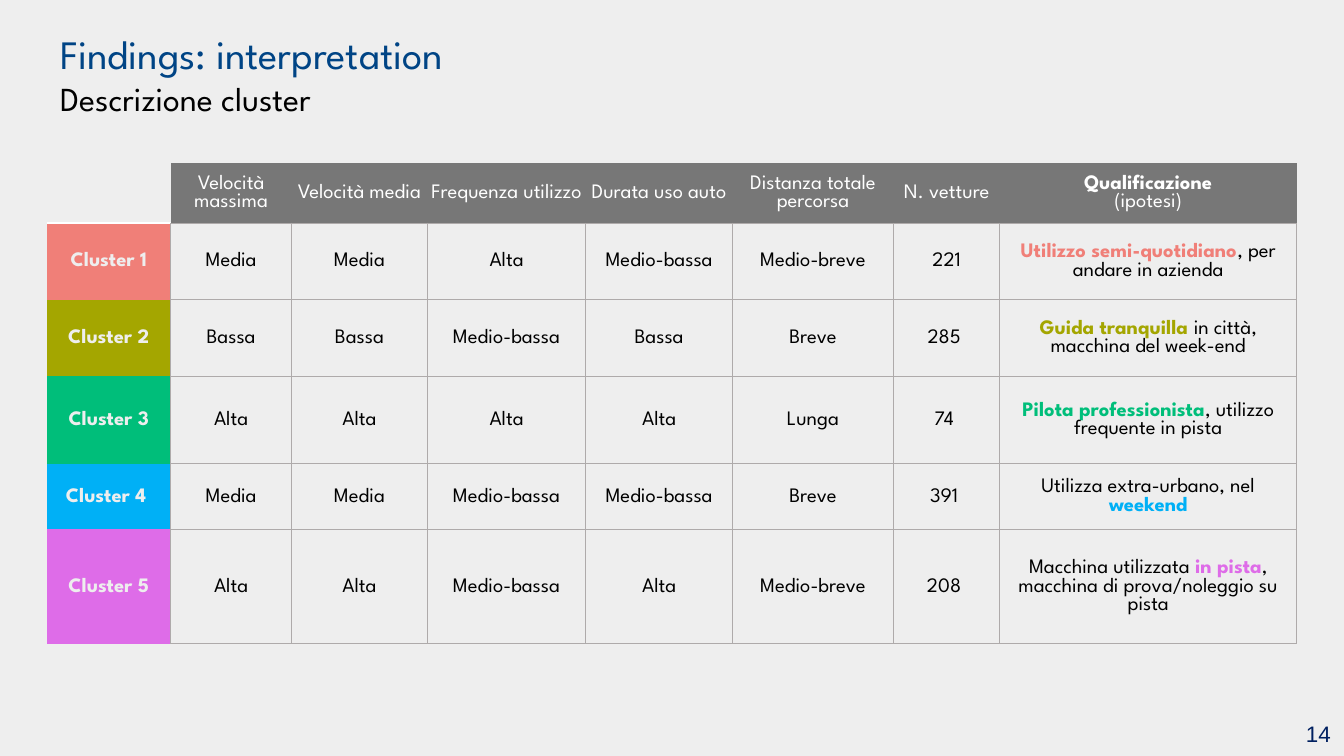
from dataclasses import dataclass

from lxml import etree
from pptx import Presentation
from pptx.dml.color import RGBColor
from pptx.enum.text import MSO_ANCHOR, PP_ALIGN
from pptx.oxml.ns import qn
from pptx.util import Inches, Pt

MIDDLE = MSO_ANCHOR.MIDDLE
LEFT, CENTER, RIGHT = PP_ALIGN.LEFT, PP_ALIGN.CENTER, PP_ALIGN.RIGHT
BLANK = 6


@dataclass(frozen=True)
class Theme:
    font: str = "League Spartan"
    number_font: str = "Arial"
    paper: str = "EEEEEE"
    ink: str = "000000"
    title: str = "004485"
    number: str = "002060"
    header: str = "777777"
    white: str = "FFFFFF"
    rule: str = "AEAAAA"
    title_size: float = 21.6
    subtitle_size: float = 18
    cell_size: float = 11
    number_size: float = 12


T = Theme()

SLIDE_WIDTH = 10
SLIDE_HEIGHT = SLIDE_WIDTH * 9 / 16
COLUMNS = [0.92, 0.9, 1.01, 1.18, 1.09, 1.2, 0.79, 2.21]
ROWS = [0.45, 0.57, 0.57, 0.65, 0.49, 0.85]
TABLE_LEFT, TABLE_TOP = 0.35, 1.21

# Text between asterisks is emphasised.
HEADERS = ["", "Velocità massima", "Velocità media", "Frequenza utilizzo",
           "Durata uso auto", "Distanza totale percorsa", "N. vetture",
           "*Qualificazione*\n(ipotesi)"]
CLUSTERS = [
    ("F07F78", ["*Cluster 1*", "Media", "Media", "Alta", "Medio-bassa", "Medio-breve", "221",
                "*Utilizzo semi-quotidiano*, per andare in azienda"]),
    ("A4A600", ["*Cluster 2*", "Bassa", "Bassa", "Medio-bassa", "Bassa", "Breve", "285 ",
                "*Guida tranquilla *in città, macchina del week-end"]),
    ("00BE7A", ["*Cluster 3*", "Alta", "Alta", "Alta", "Alta", "Lunga", "74 ",
                "*Pilota professionista*, utilizzo frequente in pista"]),
    ("00B0F6", ["*Cluster 4 *", "Media", "Media", "Medio-bassa", "Medio-bassa", "Breve", "391 ",
                "Utilizza extra-urbano, nel *weekend*"]),
    ("DE6CE8", ["*Cluster 5*", "Alta", "Alta", "Medio-bassa", "Alta", "Medio-breve", "208 ",
                "Macchina utilizzata *in pista*, macchina di prova/noleggio su pista"]),
]


def rgb(color):
    return RGBColor.from_string(color)


def set_font(font, size, color, name=T.font):
    font.name, font.size = name, Pt(size)
    font.color.rgb = rgb(color)


def add_text_box(slide, left, top, width, height, align):
    sp = slide.shapes.add_textbox(*map(Inches, (left, top, width, height)))
    tf = sp.text_frame
    tf.word_wrap = True
    tf.vertical_anchor = MIDDLE
    tf.paragraphs[0].alignment = align
    return tf


def add_title(slide, title, subtitle):
    tf = add_text_box(slide, 0.35, 0.33, 5.64, 0.43, LEFT)
    tf.margin_top = Inches(0.11)
    p = tf.paragraphs[0]
    p.line_spacing = Pt(22)
    r = p.add_run()
    r.text = title
    set_font(r.font, T.title_size, T.title)
    p.add_line_break()
    r = p.add_run()
    r.text = subtitle
    set_font(r.font, T.subtitle_size, T.ink)


def add_page_number(slide, number):
    p = add_text_box(slide, 9.36, 5.29, 0.64, 0.33, RIGHT).paragraphs[0]
    p.text = number
    set_font(p.font, T.number_size, T.number, T.number_font)


def set_borders(cell, borders):
    """Draw the sides in borders, a dict of side to (color, points); clear the rest."""
    tc_pr = cell._tc.get_or_add_tcPr()
    for i, side in enumerate("LRTB"):
        ln = etree.Element(qn(f"a:ln{side}"))
        if side in borders:
            color, width = borders[side]
            ln.set("w", str(Pt(width)))
            fill = etree.SubElement(ln, qn("a:solidFill"))
            etree.SubElement(fill, qn("a:srgbClr"), val=color)
        else:
            etree.SubElement(ln, qn("a:noFill"))
        tc_pr.insert(i, ln)


def fill_cell(cell, text, fill, color, accent, borders):
    cell.fill.solid()
    cell.fill.fore_color.rgb = rgb(fill)
    set_borders(cell, borders)
    cell.vertical_anchor = MIDDLE
    cell.margin_left = cell.margin_right = cell.margin_top = Inches(0.01)
    cell.margin_bottom = 0
    tf = cell.text_frame
    for i, line in enumerate(text.split("\n")):
        p = tf.add_paragraph() if i else tf.paragraphs[0]
        p.alignment = CENTER
        set_font(p.font, T.cell_size, color)
        for j, part in enumerate(line.split("*")):
            if part:
                r = p.add_run()
                r.text = part
                r.font.bold = j % 2 == 1
                set_font(r.font, T.cell_size, accent if j % 2 else color)


def add_cluster_table(slide):
    table = slide.shapes.add_table(
        len(ROWS), len(COLUMNS), Inches(TABLE_LEFT), Inches(TABLE_TOP),
        Inches(sum(COLUMNS)), Inches(sum(ROWS))).table
    table.first_row = table.horz_banding = False
    for column, width in zip(table.columns, COLUMNS):
        column.width = Inches(width)
    for row, height in zip(table.rows, ROWS):
        row.height = Inches(height)

    rule, gap = (T.rule, 0.5), (T.white, 1)
    for c, text in enumerate(HEADERS):
        fill, bottom = (T.header, rule) if c else (T.paper, gap)
        fill_cell(table.cell(0, c), text, fill, T.white, T.white, {"B": bottom})
    for r, (color, texts) in enumerate(CLUSTERS, 1):
        name_borders = {"R": rule, "T": gap} if r == 1 else {"R": rule}
        fill_cell(table.cell(r, 0), texts[0], color, T.paper, T.paper, name_borders)
        for c, text in enumerate(texts[1:], 1):
            fill_cell(table.cell(r, c), text, T.paper, T.ink, color,
                      dict.fromkeys("LRTB", rule))


def main():
    prs = Presentation()
    prs.slide_width, prs.slide_height = Inches(SLIDE_WIDTH), Inches(SLIDE_HEIGHT)
    slide = prs.slides.add_slide(prs.slide_layouts[BLANK])
    slide.background.fill.solid()
    slide.background.fill.fore_color.rgb = rgb(T.paper)
    add_title(slide, "Findings: interpretation", "Descrizione cluster")
    add_cluster_table(slide)
    add_page_number(slide, "14")
    prs.save("out.pptx")


if __name__ == "__main__":
    main()
